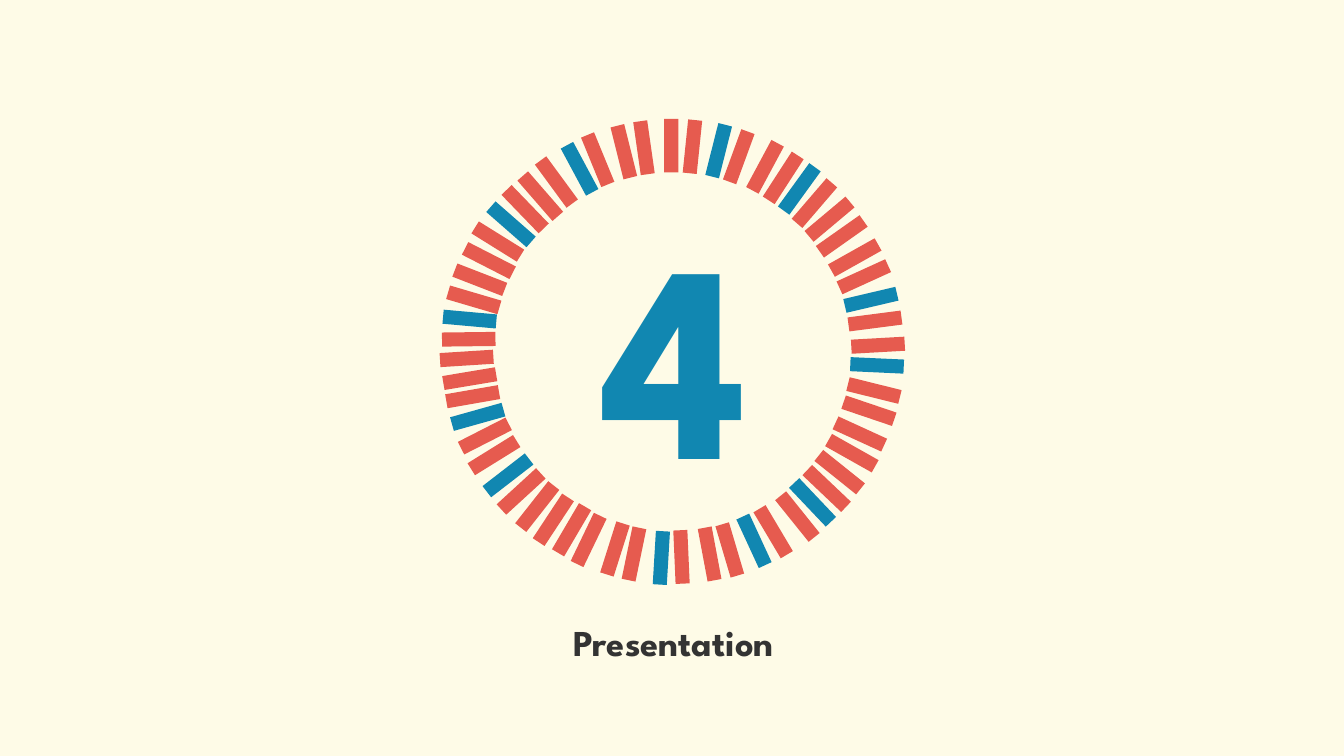
from dataclasses import dataclass

from pptx import Presentation
from pptx.dml.color import RGBColor
from pptx.enum import shapes, text
from pptx.util import Pt


@dataclass(frozen=True)
class Theme:
    background: RGBColor = RGBColor.from_string("FEFBE7")
    bar: RGBColor = RGBColor.from_string("E65B4F")
    accent: RGBColor = RGBColor.from_string("1187B1")
    ink: RGBColor = RGBColor.from_string("333333")
    font: str = "League Spartan"
    number_size: int = 200
    title_size: int = 26
    inset: float = 3.6


BAR_WIDTH, BAR_HEIGHT = 10.1, 38.2

# Tilts along one arc, in degrees from its first bar
TILTS = (0, 5.9, 14.2, 20.1, 28.2, 32.9, 35.9, 40.7, 50, 54.8, 60.7, 65.5, 76.8, 82.6)

# Each arc: first tilt, turning direction, accent bars, left and top of every bar
ARCS = (
    (0, 1, {2, 6, 12}, (
        (474.5, 85), (489.6, 85.7), (508.3, 88.6), (522.7, 92.9), (541.4, 100.1),
        (554.4, 108), (565.9, 115.9), (576.7, 126), (587.5, 137.5), (596.2, 149.8),
        (605.5, 164.9), (612, 178.6), (617, 195.1), (619.9, 210.2))),
    (351.9, -1, {3, 7, 12}, (
        (455, 86.4), (440.6, 89.3), (421.9, 95), (409, 101.5), (392.4, 110.9),
        (380.9, 121), (370.1, 130.3), (360, 141.1), (350.6, 153.4), (344.2, 167),
        (337.7, 180.7), (333.4, 195.1), (330.5, 208.8), (329.8, 223.2))),
    (169.4, -1, {2, 5, 12}, (
        (501.8, 376.6), (516.2, 373.7), (533.5, 367.2), (547.2, 360.7), (564.5, 349.9),
        (575.3, 339.8), (585.4, 329.8), (594.7, 318.2), (603.4, 304.6), (609.1, 290.9),
        (615.6, 274.3), (619.2, 259.9), (621.4, 241.9), (622.1, 227.5))),
    (177.5, 1, {1, 9, 12}, (
        (481.7, 378.7), (467.3, 379.4), (447.8, 376.6), (434.2, 373), (415.4, 366.5),
        (403.2, 359.3), (390.2, 352.1), (378.7, 342.7), (367.2, 331.9), (357.8, 320.4),
        (347.8, 306), (341.3, 292.3), (336.2, 278.6), (332.6, 264.2))),
    (260.5, 1, set(), ((330.5, 251.3), (328.3, 236.9))),
)


class SlideBuilder:
    def __init__(self, presentation, theme):
        self.theme = theme
        self.slide = presentation.slides.add_slide(presentation.slide_layouts[5])
        fill = self.slide.background.fill
        fill.solid()
        fill.fore_color.rgb = theme.background

    def bar(self, left, top, tilt, color):
        shape = self.slide.shapes.add_shape(
            shapes.MSO_SHAPE.RECTANGLE, Pt(left), Pt(top), Pt(BAR_WIDTH), Pt(BAR_HEIGHT))
        shape.rotation = tilt
        shape.shadow.inherit = False
        shape.fill.solid()
        shape.fill.fore_color.rgb = color
        shape.line.fill.background()

    def ring(self):
        for start, direction, accents, corners in ARCS:
            for index, ((left, top), tilt) in enumerate(zip(corners, TILTS)):
                color = self.theme.accent if index in accents else self.theme.bar
                self.bar(left, top, start + direction * tilt, color)

    def set_line(self, shape, words, size, color, spacing, wrap):
        """Fill a shape with one centred bold line."""
        frame = shape.text_frame
        frame.margin_left = frame.margin_right = Pt(self.theme.inset)
        frame.margin_top = frame.margin_bottom = Pt(self.theme.inset)
        frame.vertical_anchor = text.MSO_ANCHOR.TOP
        frame.auto_size = text.MSO_AUTO_SIZE.SHAPE_TO_FIT_TEXT
        frame.word_wrap = wrap
        paragraph = frame.paragraphs[0]
        paragraph.alignment = text.PP_ALIGN.CENTER
        paragraph.line_spacing = spacing
        run = paragraph.add_run()
        run.text = words
        run.font.name = self.theme.font
        run.font.size = Pt(size)
        run.font.bold = True
        run.font.color.rgb = color

    def number(self, words):
        shape = self.slide.shapes.add_textbox(Pt(421.9), Pt(124.6), Pt(120.2), Pt(252))
        self.set_line(shape, words, self.theme.number_size, self.theme.accent, 1.0, False)

    def title(self, words):
        shape = self.slide.shapes.title
        shape.left, shape.top, shape.width, shape.height = (
            Pt(388.8), Pt(436.3), Pt(185), Pt(38.9))
        self.set_line(shape, words, self.theme.title_size, self.theme.ink, 1.1, True)


def main():
    presentation = Presentation()
    presentation.slide_width, presentation.slide_height = Pt(960), Pt(540)
    builder = SlideBuilder(presentation, Theme())
    builder.ring()
    builder.number("4")
    builder.title("Presentation")
    presentation.save("out.pptx")


if __name__ == "__main__":
    main()
